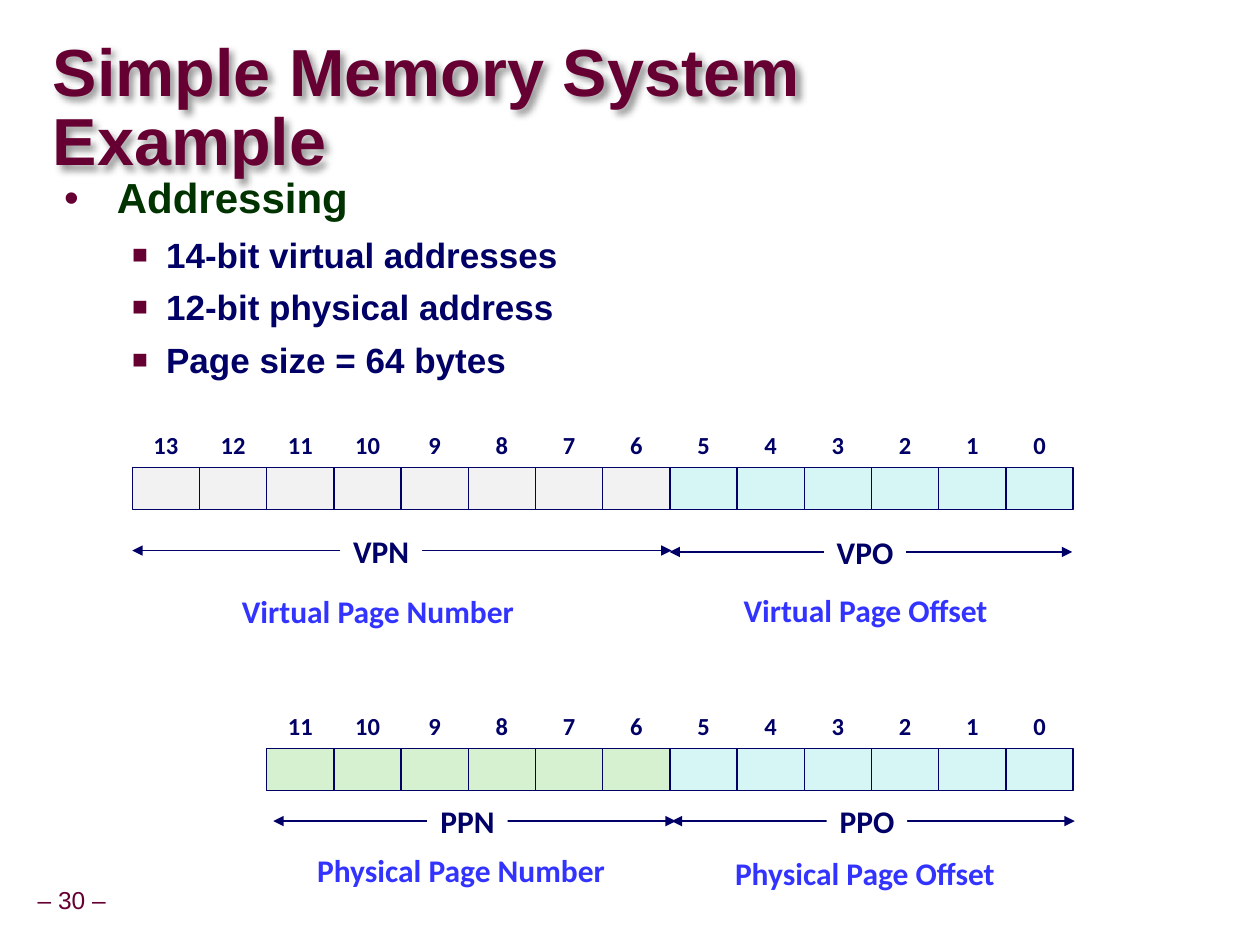
from dataclasses import dataclass

from lxml import etree
from pptx import Presentation
from pptx.dml.color import RGBColor
from pptx.enum.shapes import MSO_CONNECTOR, MSO_SHAPE
from pptx.enum.text import MSO_ANCHOR, MSO_AUTO_SIZE, PP_ALIGN
from pptx.oxml.ns import qn
from pptx.util import Pt

STRAIGHT = MSO_CONNECTOR.STRAIGHT
RECTANGLE = MSO_SHAPE.RECTANGLE
TOP, MIDDLE = MSO_ANCHOR.TOP, MSO_ANCHOR.MIDDLE
LEFT, CENTER = PP_ALIGN.LEFT, PP_ALIGN.CENTER
GROW = MSO_AUTO_SIZE.SHAPE_TO_FIT_TEXT
NO_GROW = MSO_AUTO_SIZE.NONE

MAROON = RGBColor(0x66, 0x00, 0x33)
GREEN = RGBColor(0x00, 0x33, 0x00)
NAVY = RGBColor(0x00, 0x00, 0x66)
BLUE = RGBColor(0x33, 0x33, 0xFF)
WHITE = RGBColor(0xFF, 0xFF, 0xFF)
PALE_GRAY = RGBColor(0xF2, 0xF2, 0xF2)
PALE_CYAN = RGBColor(0xD6, 0xF5, 0xF5)
PALE_GREEN = RGBColor(0xD5, 0xF1, 0xCF)

# Bit grid, in points: rows share their right edge, where bit 0 sits
BIT_WIDTH, BIT_HEIGHT = 38.4, 24
ROW_RIGHT = 613.2
OFFSET_BITS = 6


@dataclass
class Address:
    bits: int
    top: float
    number_fill: RGBColor


@dataclass
class Span:
    name: str
    start: float
    end: float
    y: float
    name_left: float
    name_width: float


@dataclass
class Caption:
    text: str
    left: float
    top: float
    width: float


@dataclass
class Bullet:
    text: str
    mark: str
    size: float
    color: RGBColor
    margin: float
    indent: float
    line_spacing: float
    space_before: float
    mark_percent: int


ADDRESSES = [
    Address(14, 267.2, PALE_GRAY),
    Address(12, 427.7, PALE_GREEN),
]
SPANS = [
    Span("VPO", 382.6, 612.7, 315.4, 470.9, 46.8),
    Span("PPO", 383.8, 614.2, 469.2, 472.4, 46.1),
    Span("PPN", 156.2, 386.2, 469.2, 244.1, 46.1),
    Span("VPN", 75.6, 383.8, 314.6, 194.4, 46.8),
]
CAPTIONS = [
    Caption("Virtual Page Number", 130.3, 337.7, 171.4),
    Caption("Virtual Page Offset", 416.9, 337, 155.5),
    Caption("Physical Page Number", 173.5, 485.3, 180),
    Caption("Physical Page Offset", 411.8, 487.4, 164.9),
]
BULLETS = [Bullet("Addressing", "•", 24, GREEN, 30.2, -30.2, 0.95, 0, 100)] + [
    Bullet(text, "■", 20, NAVY, 58.3, -19.4, 1, 6, 75)
    for text in ("14-bit virtual addresses", "12-bit physical address",
                 "Page size = 64 bytes")
]


def set_frame(box, anchor, wrap: bool, inset_x: float = 7.2,
              inset_y: float = 3.6, auto_size=NO_GROW) -> None:
    frame = box.text_frame
    frame.word_wrap = wrap
    frame.auto_size = auto_size
    frame.vertical_anchor = anchor
    frame.margin_left = frame.margin_right = Pt(inset_x)
    frame.margin_top = frame.margin_bottom = Pt(inset_y)


def set_text(para, text: str, size: float, color: RGBColor, font: str = "Calibri",
             bold: bool = True, align=CENTER, spacing: float = 0.88) -> None:
    para.text = text
    para.alignment = align
    para.line_spacing = spacing
    para.font.size = Pt(size)
    para.font.name = font
    para.font.bold = bold
    para.font.color.rgb = color


def add_box(page, left: float, top: float, width: float, height: float):
    return page.shapes.add_textbox(Pt(left), Pt(top), Pt(width), Pt(height))


def add_rectangle(page, left: float, top: float, width: float, height: float,
                  fill: RGBColor):
    box = page.shapes.add_shape(RECTANGLE, Pt(left), Pt(top), Pt(width), Pt(height))
    box.shadow.inherit = False
    box.fill.solid()
    box.fill.fore_color.rgb = fill
    return box


def add_title(page, text: str) -> None:
    box = add_box(page, 30.2, 40.3, 575.3, 45.4)
    set_frame(box, MIDDLE, True, 0, 0)
    set_text(box.text_frame.paragraphs[0], text, 38, MAROON, "Arial",
             align=LEFT, spacing=0.87)
    # Soft shadow, down and to the right
    effects = etree.SubElement(box._element.spPr, qn("a:effectLst"))
    shadow = etree.SubElement(effects, qn("a:outerShdw"), blurRad=str(Pt(4)),
                              dist=str(Pt(3)), dir="2700000", algn="tl",
                              rotWithShape="0")
    color = etree.SubElement(shadow, qn("a:srgbClr"), val="000000")
    etree.SubElement(color, qn("a:alpha"), val="40000")


def add_bullets(page, bullets: list[Bullet]) -> None:
    box = add_box(page, 29.5, 96.5, 654.5, 124.6)
    set_frame(box, TOP, True)
    frame = box.text_frame
    for index, bullet in enumerate(bullets):
        para = frame.add_paragraph() if index else frame.paragraphs[0]
        set_text(para, bullet.text, bullet.size, bullet.color, "Arial",
                 align=LEFT, spacing=bullet.line_spacing)
        para.space_before = Pt(bullet.space_before)
        para.level = 1 if index else 0
        props = para._p.get_or_add_pPr()
        props.set("marL", str(Pt(bullet.margin)))
        props.set("indent", str(Pt(bullet.indent)))
        marks = [etree.Element(qn("a:buClr")),
                 etree.Element(qn("a:buSzPct"), val=str(bullet.mark_percent * 1000)),
                 etree.Element(qn("a:buFont"), typeface="Arial"),
                 etree.Element(qn("a:buChar"), char=bullet.mark)]
        etree.SubElement(marks[0], qn("a:srgbClr"), val=str(MAROON))
        defaults = props.find(qn("a:defRPr"))
        for mark in marks:
            defaults.addprevious(mark)


def add_address(page, address: Address) -> None:
    for bit in reversed(range(address.bits)):
        left = ROW_RIGHT - (bit + 1) * BIT_WIDTH
        fill = PALE_CYAN if bit < OFFSET_BITS else address.number_fill
        cell = add_rectangle(page, left, address.top, BIT_WIDTH, BIT_HEIGHT, fill)
        cell.line.color.rgb = NAVY
        cell.line.width = Pt(0.75)
        label = add_box(page, left, address.top - BIT_HEIGHT, BIT_WIDTH, BIT_HEIGHT)
        set_frame(label, MIDDLE, False)
        set_text(label.text_frame.paragraphs[0], str(bit), 14, NAVY)


def add_span(page, span: Span) -> None:
    arrow = page.shapes.add_connector(STRAIGHT, Pt(span.start), Pt(span.y),
                                      Pt(span.end), Pt(span.y))
    arrow.line.color.rgb = NAVY
    arrow.line.width = Pt(0.75)
    line = arrow.line._get_or_add_ln()
    for end in ("a:headEnd", "a:tailEnd"):
        etree.SubElement(line, qn(end), type="triangle")
    etree.SubElement(arrow._element.spPr, qn("a:effectLst"))
    box = add_rectangle(page, span.name_left, span.y - 11.5, span.name_width, 26, WHITE)
    box.line.fill.background()
    set_frame(box, TOP, False, auto_size=GROW)
    set_text(box.text_frame.paragraphs[0], span.name, 18, NAVY)


def add_caption(page, caption: Caption) -> None:
    box = add_box(page, caption.left, caption.top, caption.width, 26)
    set_frame(box, TOP, False, auto_size=GROW)
    set_text(box.text_frame.paragraphs[0], caption.text, 18, BLUE)


def main() -> None:
    deck = Presentation()
    deck.slide_width, deck.slide_height = Pt(720), Pt(540)
    page = deck.slides.add_slide(deck.slide_layouts[6])

    # Page number
    number = add_box(page, 17.3, 504, 47.5, 22.3)
    set_frame(number, MIDDLE, False, 3.6, 3.6, GROW)
    set_text(number.text_frame.paragraphs[0], "– 30 –", 14, MAROON, "Arial",
             bold=False, spacing=0.9)

    # Heading and facts
    add_title(page, "Simple Memory System Example")
    add_bullets(page, BULLETS)

    # Address layouts
    for address in ADDRESSES:
        add_address(page, address)
    for span in SPANS:
        add_span(page, span)
    for caption in CAPTIONS:
        add_caption(page, caption)

    deck.save("out.pptx")


if __name__ == "__main__":
    main()
